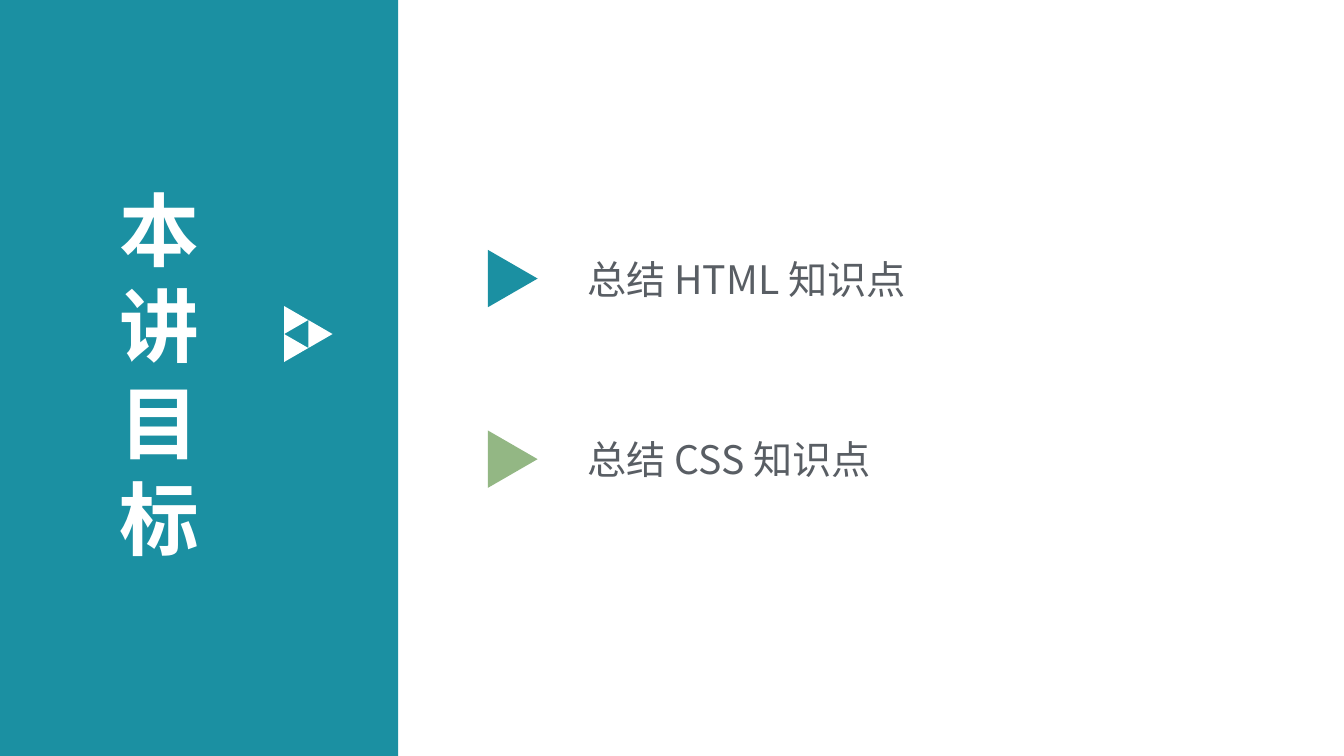
from dataclasses import dataclass

from pptx import Presentation
from pptx import util as u
from pptx.dml.color import RGBColor
from pptx.enum import shapes, text

Pt = u.Pt


@dataclass(frozen=True)
class Theme:
    font: str = "Noto Sans CJK SC"
    teal: str = "1B90A2"
    green: str = "93B784"
    white: str = "FFFFFF"
    grey: str = "595E64"
    title: int = 57
    body: int = 28


class Builder:
    """Holds the theme and the slide being built."""

    def __init__(self, s, theme):
        self.s, self.theme = s, theme

    def shape(self, kind, left, top, width, height, color):
        sp = self.s.shapes.add_shape(kind, Pt(left), Pt(top), Pt(width), Pt(height))
        sp.shadow.inherit = False
        sp.fill.solid()
        sp.fill.fore_color.rgb = RGBColor.from_string(color)
        sp.line.fill.background()
        return sp

    def panel(self, width, height, color):
        return self.shape(shapes.MSO_SHAPE.RECTANGLE, 0, 0, width, height, color)

    def arrow(self, left, middle, side, color):
        """Equilateral triangle pointing right; left is its visible edge."""
        depth = side * 0.866
        sp = self.shape(shapes.MSO_SHAPE.ISOSCELES_TRIANGLE,
                        left + (depth - side) / 2, middle - depth / 2,
                        side, depth, color)
        sp.rotation = 90
        return sp

    def label(self, content, left, top, width, height, *, size, color,
              bold=False, spacing=None, anchor=text.MSO_ANCHOR.MIDDLE):
        sp = self.s.shapes.add_textbox(Pt(left), Pt(top), Pt(width), Pt(height))
        tf = sp.text_frame
        tf.word_wrap = True
        tf.vertical_anchor = anchor
        tf.margin_left = tf.margin_right = Pt(8.6)
        tf.margin_top = tf.margin_bottom = Pt(4.3)
        p = tf.paragraphs[0]
        if spacing:
            p.line_spacing = Pt(spacing)
        r = p.add_run()
        r.text = content
        r.font.name, r.font.size, r.font.bold = self.theme.font, Pt(size), bold
        r.font.color.rgb = RGBColor.from_string(color)
        # East Asian characters take their own typeface entry
        ea = r.font._element.makeelement(
            "{http://schemas.openxmlformats.org/drawingml/2006/main}ea",
            {"typeface": self.theme.font})
        r.font._element.append(ea)
        return sp


prs = Presentation()
prs.slide_width, prs.slide_height = Pt(960), Pt(540)
theme = Theme()
b = Builder(prs.slides.add_slide(prs.slide_layouts[6]), theme)

# Side panel; the narrow title box wraps to one character a line
b.panel(284.4, 540, theme.teal)
b.label("本讲目标", 77, 124, 125, 285, size=theme.title, color=theme.white,
        bold=True, spacing=69, anchor=text.MSO_ANCHOR.TOP)

# Arrow made of three small triangles
side = 20
for column, row in ((0, -0.5), (0, 0.5), (1, 0)):
    b.arrow(202.9 + column * side * 0.866, 238.6 + row * side, side, theme.white)

# Goals
goals = (("总结 HTML 知识点", theme.teal), ("总结 CSS 知识点", theme.green))
for i, (goal, color) in enumerate(goals):
    middle = 199 + i * 129
    b.arrow(348.5, middle, 41, color)
    b.label(goal, 411, middle - 21, 534, 42, size=theme.body, color=theme.grey)

prs.save("out.pptx")
